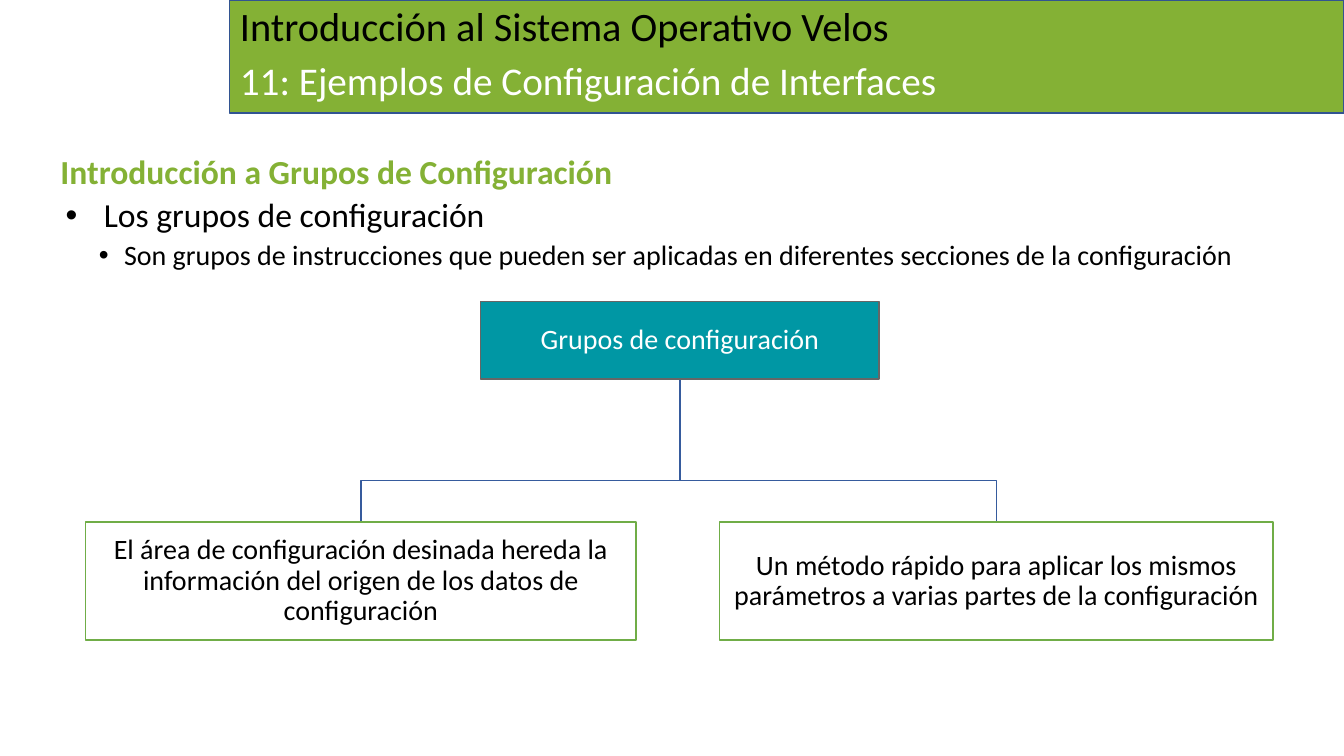
from dataclasses import dataclass

from lxml.etree import SubElement
from pptx import Presentation
from pptx.dml.color import RGBColor
from pptx.enum.shapes import MSO_SHAPE as Preset
from pptx.enum.text import MSO_ANCHOR as Anchor, MSO_AUTO_SIZE as AutoSize, PP_ALIGN as Align
from pptx.oxml.ns import qn
from pptx.shapes.autoshape import Shape
from pptx.slide import Slide
from pptx.util import Emu, Inches, Pt

SLIDE_WIDTH, SLIDE_HEIGHT = Inches(13.33), Inches(7.5)
COLUMNS, ROWS = 40, 30
TWO_CONTENT_LAYOUT = 3


@dataclass(frozen=True)
class Theme:
    font: str = "Calibri"
    green: str = "84B135"
    teal: str = "0097A4"
    white: str = "FFFFFF"
    black: str = "000000"
    band_line: str = "325491"
    link_line: str = "365B9D"
    root_line: str = "666666"
    leaf_line: str = "70AD47"
    title_size: float = 28.8
    subtitle_size: float = 28
    heading_size: float = 24
    detail_size: float = 20
    line_width: float = 1
    line_spacing: float = 0.9


THEME = Theme()


@dataclass(frozen=True)
class Area:
    """A rectangle in grid columns and rows."""
    left: float
    top: float
    width: float
    height: float

    @property
    def middle(self) -> float:
        return self.left + self.width / 2

    @property
    def bottom(self) -> float:
        return self.top + self.height


@dataclass(frozen=True)
class Line:
    """A paragraph of a placeholder; margin and hanging indent in inches."""
    text: str
    size: float
    color: str
    bold: bool = False
    level: int = 0
    space_before: float = 10
    margin: float = 0
    hanging: float = 0


@dataclass(frozen=True)
class Box:
    area: Area
    fill: str
    line: str
    text: str = ""
    color: str = THEME.black


BAND = Box(Area(6.84, 0, 33.16, 4.48), THEME.green, THEME.band_line)
TITLE_AREA = Area(6.84, 0.08, 33.16, 2.12)
SUBTITLE_AREA = Area(6.84, 2.24, 25.26, 2.24)
BODY_AREA = Area(1.5, 5.96, 37.47, 19.04)

TITLE = [Line("Introducción al Sistema Operativo Velos", THEME.title_size, THEME.black,
              space_before=0)]
SUBTITLE = [Line("11: Ejemplos de Configuración de Interfaces", THEME.subtitle_size, THEME.white)]
BODY = [
    Line("Introducción a Grupos de Configuración", THEME.heading_size, THEME.green, bold=True),
    Line("Los grupos de configuración", THEME.heading_size, THEME.black,
         level=1, space_before=5, margin=0.43, hanging=0.38),
    Line("Son grupos de instrucciones que pueden ser aplicadas en diferentes secciones "
         "de la configuración", THEME.detail_size, THEME.black,
         level=2, space_before=5, margin=0.63, hanging=0.25),
]

ROOT = Box(Area(14.31, 11.96, 11.85, 3.08), THEME.teal, THEME.root_line,
           "Grupos de configuración", THEME.white)
LEAVES = [
    Box(Area(2.55, 20.72, 16.38, 4.68), THEME.white, THEME.leaf_line,
        "El área de configuración desinada hereda la información del origen "
        "de los datos de configuración"),
    Box(Area(21.42, 20.72, 16.47, 4.68), THEME.white, THEME.leaf_line,
        "Un método rápido para aplicar los mismos parámetros a varias partes "
        "de la configuración"),
]
BRANCH_ROW = 19.08


def across(columns: float) -> Emu:
    return Emu(round(SLIDE_WIDTH * columns / COLUMNS))


def down(rows: float) -> Emu:
    return Emu(round(SLIDE_HEIGHT * rows / ROWS))


def style_paragraph(paragraph, size: float, color: str, bold: bool = False) -> None:
    paragraph.line_spacing = THEME.line_spacing
    for run in paragraph.runs:
        run.font.name = THEME.font
        run.font.size = Pt(size)
        run.font.bold = bold
        run.font.color.rgb = RGBColor.from_string(color)


def set_bullet(paragraph, line: Line) -> None:
    properties = paragraph._p.get_or_add_pPr()
    properties.set("marL", str(Inches(line.margin)))
    properties.set("indent", str(-Inches(line.hanging)))
    if line.hanging:
        SubElement(properties, qn("a:buFont"), typeface="Arial")
        SubElement(properties, qn("a:buChar"), char="•")
    else:
        SubElement(properties, qn("a:buNone"))


def fill_placeholder(placeholder, area: Area, lines: list[Line], anchor: Anchor) -> None:
    placeholder.left, placeholder.top = across(area.left), down(area.top)
    placeholder.width, placeholder.height = across(area.width), down(area.height)
    frame = placeholder.text_frame
    frame.text = "\n".join(line.text for line in lines)
    frame.auto_size = AutoSize.NONE
    frame.vertical_anchor = anchor
    for paragraph, line in zip(frame.paragraphs, lines):
        paragraph.level = line.level
        paragraph.alignment = Align.LEFT
        paragraph.space_before = Pt(line.space_before)
        style_paragraph(paragraph, line.size, line.color, line.bold)
        set_bullet(paragraph, line)


def style_outline(shape: Shape, color: str) -> None:
    shape.shadow.inherit = False
    shape.line.color.rgb = RGBColor.from_string(color)
    shape.line.width = Pt(THEME.line_width)


def draw_box(slide: Slide, box: Box) -> Shape:
    area = box.area
    shape = slide.shapes.add_shape(Preset.RECTANGLE, across(area.left), down(area.top),
                                   across(area.width), down(area.height))
    style_outline(shape, box.line)
    shape.fill.solid()
    shape.fill.fore_color.rgb = RGBColor.from_string(box.fill)
    if box.text:
        frame = shape.text_frame
        frame.text = box.text
        frame.word_wrap = True
        frame.vertical_anchor = Anchor.MIDDLE
        frame.margin_left = frame.margin_right = Inches(0.01)
        frame.margin_top = frame.margin_bottom = Inches(0.01)
        frame.paragraphs[0].alignment = Align.CENTER
        style_paragraph(frame.paragraphs[0], THEME.detail_size, box.color)
    return shape


def draw_branch(slide: Slide, parent: Area, child: Area) -> None:
    """Draw the bent line from the parent's bottom to the child's top."""
    start, end = across(parent.middle), across(child.middle)
    bend = down(BRANCH_ROW)
    builder = slide.shapes.build_freeform(start, down(parent.bottom))
    builder.add_line_segments([(start, bend), (end, bend), (end, down(child.top))], close=False)
    branch = builder.convert_to_shape()
    branch.fill.background()
    style_outline(branch, THEME.link_line)


def main() -> None:
    presentation = Presentation()
    presentation.slide_width, presentation.slide_height = SLIDE_WIDTH, SLIDE_HEIGHT
    slide = presentation.slides.add_slide(presentation.slide_layouts[TWO_CONTENT_LAYOUT])
    title, subtitle, body = slide.placeholders
    band = draw_box(slide, BAND)
    title.element.addprevious(band.element)
    fill_placeholder(title, TITLE_AREA, TITLE, Anchor.MIDDLE)
    fill_placeholder(subtitle, SUBTITLE_AREA, SUBTITLE, Anchor.TOP)
    fill_placeholder(body, BODY_AREA, BODY, Anchor.TOP)
    for leaf in reversed(LEAVES):
        draw_branch(slide, ROOT.area, leaf.area)
    for box in [ROOT, *LEAVES]:
        draw_box(slide, box)
    presentation.save("out.pptx")


if __name__ == "__main__":
    main()
